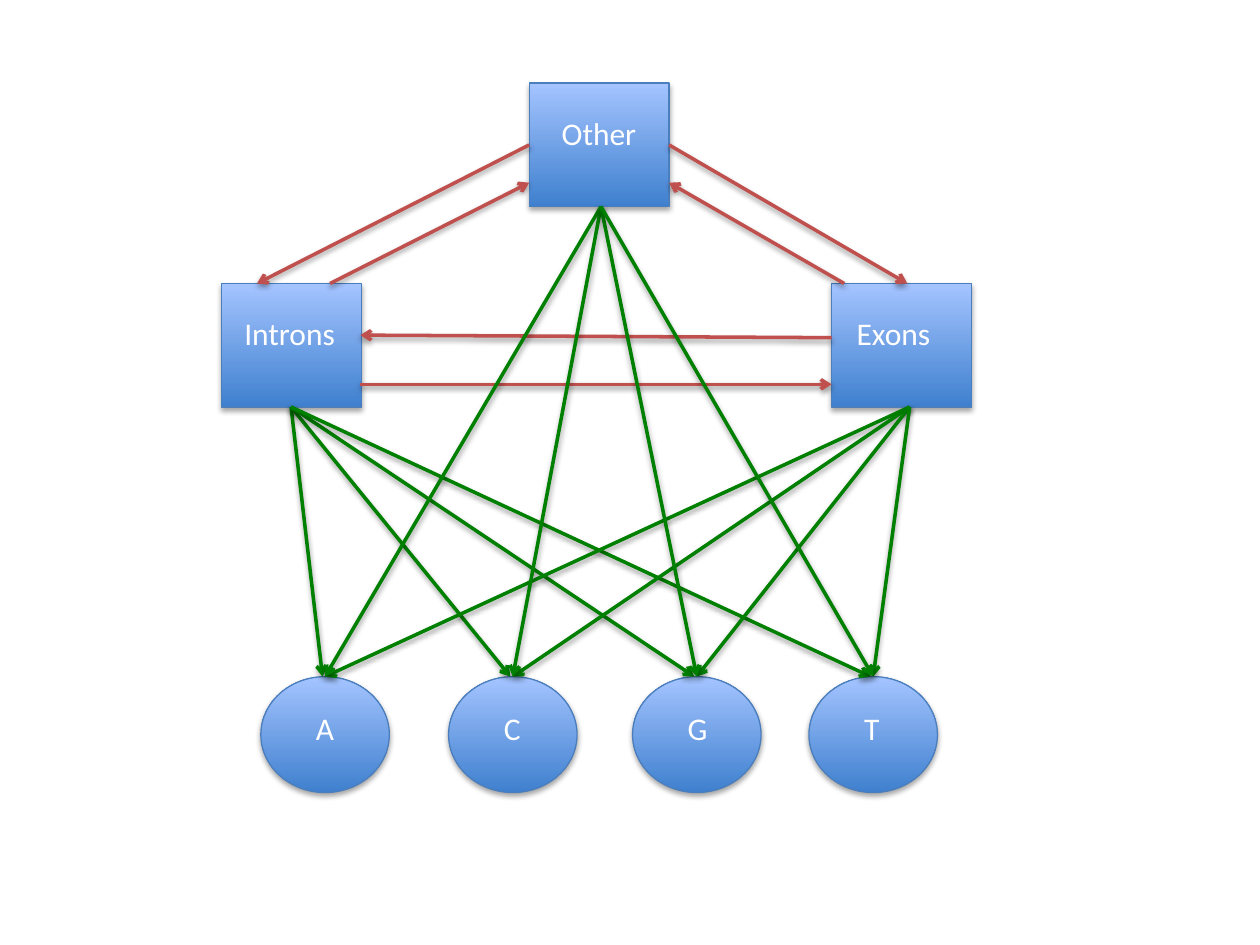
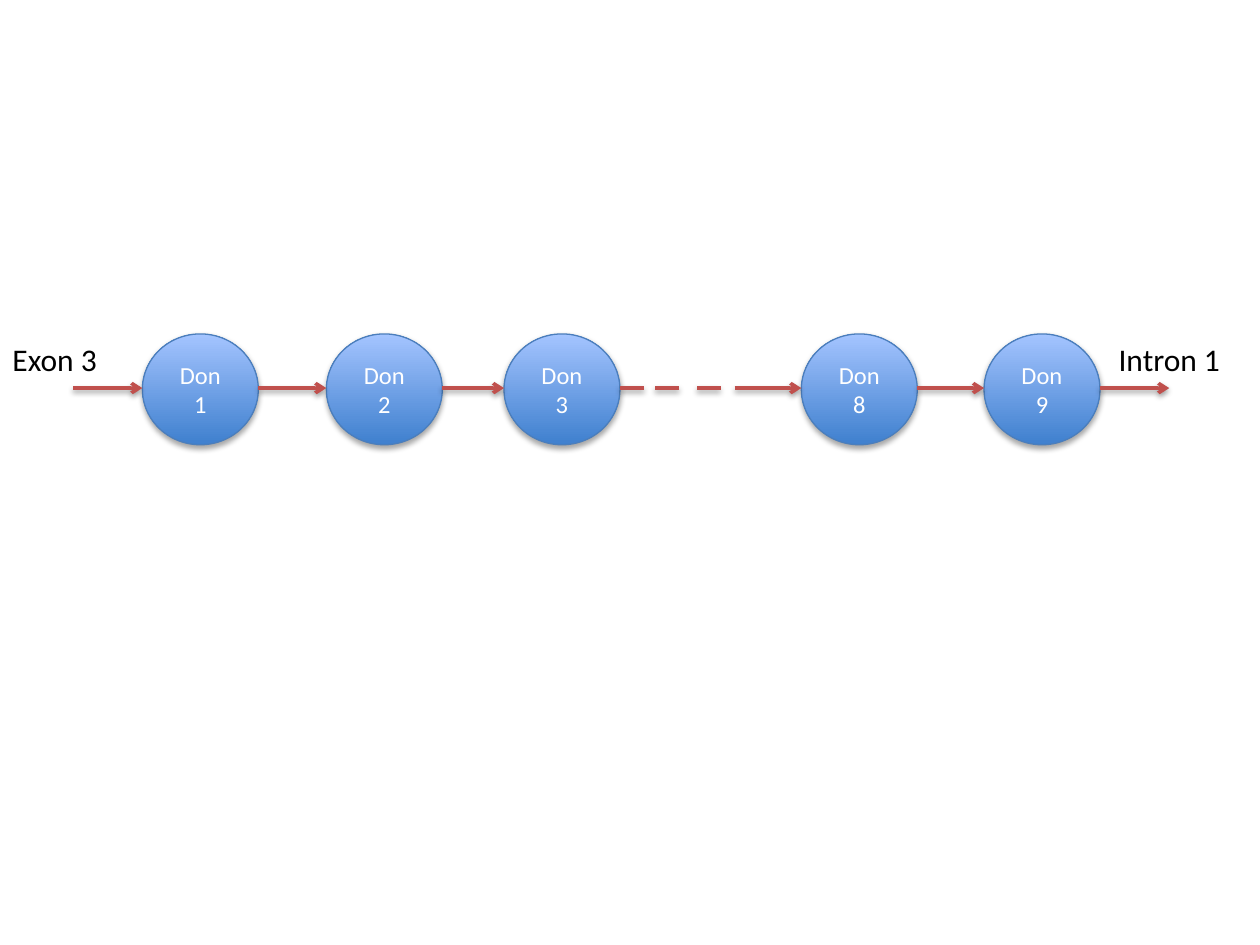
from lxml.etree import SubElement
from pptx import Presentation
from pptx.dml.color import RGBColor
from pptx.enum.shapes import MSO_CONNECTOR as LINE, MSO_SHAPE as SHAPE
from pptx.enum.text import MSO_ANCHOR as ANCHOR, MSO_AUTO_SIZE as AUTO, PP_ALIGN as ALIGN
from pptx.oxml.ns import qn
from pptx.util import Inches, Pt

# Shared style
FONT = "Calibri"
BLUE_DARK = RGBColor(0x3F, 0x80, 0xCE)
BLUE_LIGHT = RGBColor(0xA4, 0xC4, 0xFF)
BLUE_EDGE = RGBColor(0x4B, 0x7E, 0xBC)
RED = RGBColor(0xC0, 0x50, 0x4D)
GREEN = RGBColor(0x00, 0x80, 0x00)
WHITE = RGBColor(0xFF, 0xFF, 0xFF)
BLACK = RGBColor(0x00, 0x00, 0x00)

# Slide 1: hidden states and emitted bases (lengths in inches)
STATE_W, STATE_H = 1.11, 0.98
STATES = [  # name, left, top, label offset x and y, foot of the emission arrows, nudge of their tips
    ("Introns", 1.76, 2.25, 0.08, 0.19, 2.31, -0.02),
    ("Exons", 6.60, 2.25, 0.10, 0.19, 7.22, 0),
    ("Other", 4.20, 0.66, 0.16, 0.20, 4.77, 0),
]
TRANSITIONS = [
    ((2.86, 3.05), (6.60, 3.05)), ((6.60, 2.68), (2.86, 2.66)),
    ((2.62, 2.25), (4.20, 1.45)), ((4.20, 1.15), (2.04, 2.25)),
    ((6.70, 2.25), (5.31, 1.45)), ((5.31, 1.15), (7.20, 2.25)),
]
BASE_W, BASE_H, BASE_TOP = 1.02, 0.92, 5.37
BASES = [("A", 2.07), ("C", 3.56), ("G", 5.02), ("T", 6.42)]

# Slide 2: chain of donor states
DON_W, DON_H, DON_TOP = 0.92, 0.88, 2.65
DONORS = [("Don 1", 1.13), ("Don 2", 2.59), ("Don 3", 4.00), ("Don 8", 6.36), ("Don 9", 7.81)]
CHAIN_Y = 3.08
CHAIN_START, CHAIN_END, GAP_RESUMES = 0.58, 9.28, 5.83
DASHES, DASH_W = [4.92, 5.20, 5.53], 0.19
ENDS = [("Exon 3", 0, 0.99), ("Intron 1", 8.78, 1.06)]


def cast_shadow(effects, dist, alpha):
    shadow = SubElement(effects, qn("a:outerShdw"), blurRad="40000", dist=str(dist),
                        dir="5400000", rotWithShape="0")
    black = SubElement(shadow, qn("a:srgbClr"), val="000000")
    SubElement(black, qn("a:alpha"), val=str(alpha * 1000))


def add_text(tf, text, size, color):
    p = tf.paragraphs[0]
    r = p.add_run()
    r.text = text
    r.font.name, r.font.size, r.font.color.rgb = FONT, Pt(size), color
    return p


def add_node(s, kind, x, y, w, h, text=None):
    sp = s.shapes.add_shape(kind, Inches(x), Inches(y), Inches(w), Inches(h))
    sp.fill.gradient()
    sp.fill.gradient_angle = 90
    for stop, color in zip(sp.fill.gradient_stops, (BLUE_DARK, BLUE_LIGHT)):
        stop.color.rgb = color
    sp.line.color.rgb, sp.line.width = BLUE_EDGE, Pt(0.75)
    sp.shadow.inherit = False
    cast_shadow(sp._element.spPr.find(qn("a:effectLst")), 23000, 35)
    if text:
        sp.text_frame.vertical_anchor = ANCHOR.MIDDLE
        add_text(sp.text_frame, text, 14, WHITE).alignment = ALIGN.CENTER


def add_label(s, text, x, y, w, color, wrap=True):
    tf = s.shapes.add_textbox(Inches(x), Inches(y), Inches(w), Inches(0.4)).text_frame
    tf.word_wrap, tf.auto_size = wrap, AUTO.SHAPE_TO_FIT_TEXT
    add_text(tf, text, 18, color)


def add_line(s, start, end, color, arrow=True):
    cx = s.shapes.add_connector(LINE.STRAIGHT, *map(Inches, (*start, *end)))
    cx.line.color.rgb, cx.line.width = color, Pt(2)
    spPr = cx._element.spPr
    if arrow:
        SubElement(spPr.find(qn("a:ln")), qn("a:tailEnd"), type="arrow")
    cast_shadow(SubElement(spPr, qn("a:effectLst")), 20000, 38)


def build_model(s):
    # States and the transitions between them
    for _, x, y, *_ in STATES:
        add_node(s, SHAPE.RECTANGLE, x, y, STATE_W, STATE_H)
    for name, x, y, dx, dy, *_ in STATES:
        add_label(s, name, x + dx, y + dy, STATE_W, WHITE)
    for start, end in TRANSITIONS:
        add_line(s, start, end, RED)

    # Bases, each emitted by every state
    for _, x in BASES:
        add_node(s, SHAPE.OVAL, x, BASE_TOP, BASE_W, BASE_H)
    for base, x in BASES:
        add_label(s, base, x + 0.34, BASE_TOP + 0.21, 0.57, WHITE)
    for *_, top, _, _, foot, nudge in STATES:
        for _, x in BASES:
            add_line(s, (foot, top + STATE_H), (x + BASE_W / 2 + nudge, BASE_TOP), GREEN)


def build_chain(s):
    for name, x in DONORS:
        add_node(s, SHAPE.OVAL, x, DON_TOP, DON_W, DON_H, name)

    # Arrows run from each circle to the next; dashes stand for the skipped ones
    lefts = [x for _, x in DONORS]
    starts = [CHAIN_START] + [x + DON_W for x in lefts]
    starts[3] = GAP_RESUMES
    for x1, x2 in zip(starts, lefts + [CHAIN_END]):
        add_line(s, (x1, CHAIN_Y), (x2, CHAIN_Y), RED)
    for x in DASHES:
        add_line(s, (x + DASH_W, CHAIN_Y), (x, CHAIN_Y), RED, arrow=False)
    for text, x, w in ENDS:
        add_label(s, text, x, DON_TOP, w, BLACK, wrap=False)


def main():
    prs = Presentation()
    prs.slide_width, prs.slide_height = Inches(10), Inches(7.5)
    for build in (build_model, build_chain):
        build(prs.slides.add_slide(prs.slide_layouts[6]))
    prs.save("out.pptx")


if __name__ == "__main__":
    main()
